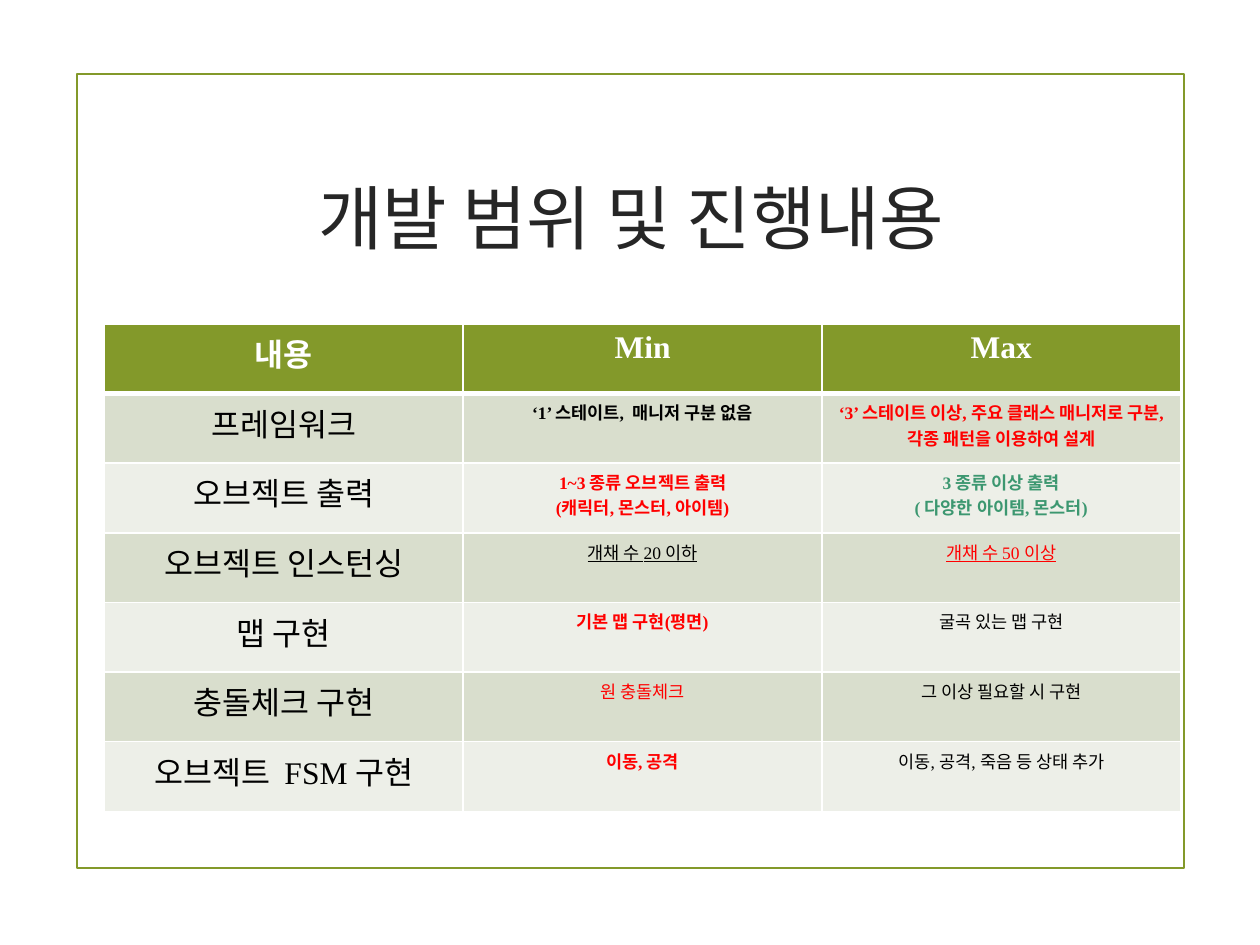
from dataclasses import dataclass

from lxml import etree
from pptx import Presentation
from pptx.dml.color import RGBColor
from pptx.enum.shapes import MSO_SHAPE
from pptx.enum.text import MSO_ANCHOR, MSO_AUTO_SIZE, PP_ALIGN
from pptx.oxml.ns import qn
from pptx.util import Inches, Pt

RECTANGLE = MSO_SHAPE.RECTANGLE
MIDDLE = MSO_ANCHOR.MIDDLE
NO_AUTOFIT = MSO_AUTO_SIZE.NONE
CENTER = PP_ALIGN.CENTER
TITLE_ONLY = 5


@dataclass(frozen=True)
class Theme:
    """Colours, type sizes and font of the slide."""
    font: str = "Times New Roman"
    accent: str = "83992A"
    title: str = "262626"
    text: str = "000000"
    white: str = "FFFFFF"
    done: str = "FF0000"
    partial: str = "3C9770"
    bands: tuple = ("D9DECD", "EDEFE8")
    title_size: int = 40
    label_size: int = 18
    detail_size: int = 10
    frame_width: float = 1.25
    border_width: int = 1
    header_border: int = 3


@dataclass(frozen=True)
class Entry:
    """Text of one table cell with its emphasis."""
    text: str
    color: str = Theme.text
    bold: bool = False
    underline: bool = False
    size: int = Theme.detail_size


HEADERS = ("내용", "Min", "Max")
SCOPE = (
    ("프레임워크",
     Entry("‘1’ 스테이트,  매니저 구분 없음", bold=True),
     Entry("‘3’ 스테이트 이상, 주요 클래스 매니저로 구분, 각종 패턴을 이용하여 설계",
           Theme.done, bold=True)),
    ("오브젝트 출력",
     Entry("1~3 종류 오브젝트 출력\n(캐릭터, 몬스터, 아이템)", Theme.done, bold=True),
     Entry("3 종류 이상 출력\n( 다양한 아이템, 몬스터)", Theme.partial, bold=True)),
    ("오브젝트 인스턴싱",
     Entry("개채 수 20 이하", underline=True),
     Entry("개채 수 50 이상", Theme.done, underline=True)),
    ("맵 구현",
     Entry("기본 맵 구현(평면)", Theme.done, bold=True),
     Entry("굴곡 있는 맵 구현")),
    ("충돌체크 구현",
     Entry("원 충돌체크", Theme.done),
     Entry("그 이상 필요할 시 구현")),
    ("오브젝트  FSM 구현",
     Entry("이동, 공격", Theme.done, bold=True),
     Entry("이동, 공격, 죽음 등 상태 추가")),
)


class SlideBuilder:
    """Draws styled elements on the current slide."""

    def __init__(self, slide, theme):
        self.slide = slide
        self.theme = theme

    def style(self, p, size, color, bold=False, underline=False):
        """Centre a paragraph and set its font."""
        p.alignment = CENTER
        p.font.name = self.theme.font
        p.font.size = Pt(size)
        p.font.color.rgb = RGBColor.from_string(color)
        p.font.bold = bold
        p.font.underline = underline

    def frame(self, left, top, width, height):
        """Add an outlined rectangle."""
        sp = self.slide.shapes.add_shape(
            RECTANGLE, Inches(left), Inches(top), Inches(width), Inches(height))
        sp.shadow.inherit = False
        sp.fill.background()
        sp.line.color.rgb = RGBColor.from_string(self.theme.accent)
        sp.line.width = Pt(self.theme.frame_width)

    def title(self, text, left, top, width, height):
        """Place and fill the title placeholder."""
        sp = self.slide.shapes.title
        sp.left, sp.top = Inches(left), Inches(top)
        sp.width, sp.height = Inches(width), Inches(height)
        tf = sp.text_frame
        tf.text = text
        tf.auto_size = NO_AUTOFIT
        tf.vertical_anchor = MIDDLE
        self.style(tf.paragraphs[0], self.theme.title_size, self.theme.title)

    def border(self, cell, side, width):
        """Draw one white cell border."""
        properties = cell._tc.get_or_add_tcPr()
        ln = etree.SubElement(properties, qn(f"a:ln{side}"), w=str(Pt(width)))
        fill = etree.SubElement(ln, qn("a:solidFill"))
        etree.SubElement(fill, qn("a:srgbClr"), val=self.theme.white)

    def cell(self, cell, entry, fill, top_width, bottom_width):
        """Fill one table cell."""
        thin = self.theme.border_width
        for side, width in zip("LRTB", (thin, thin, top_width, bottom_width)):
            self.border(cell, side, width)
        cell.fill.solid()
        cell.fill.fore_color.rgb = RGBColor.from_string(fill)
        cell.text_frame.text = entry.text
        for p in cell.text_frame.paragraphs:
            self.style(p, entry.size, entry.color, entry.bold, entry.underline)

    def table(self, headers, rows, left, top, width, height):
        """Add a table with a header row and banded body."""
        theme = self.theme
        header = [Entry(text, theme.white, bold=True, size=theme.label_size)
                  for text in headers]
        body = [[Entry(label, size=theme.label_size), *details]
                for label, *details in rows]
        grid = [header, *body]
        table = self.slide.shapes.add_table(
            len(grid), len(headers), Inches(left), Inches(top),
            Inches(width), Inches(height)).table
        table.first_row = True
        table.horz_banding = False
        for i, entries in enumerate(grid):
            table.rows[i].height = Inches(height / len(grid))
            fill = theme.bands[(i - 1) % 2] if i else theme.accent
            top_width = theme.header_border if i == 1 else theme.border_width
            bottom_width = theme.header_border if i == 0 else theme.border_width
            for j, entry in enumerate(entries):
                self.cell(table.cell(i, j), entry, fill, top_width, bottom_width)


def main():
    """Build the development scope slide."""
    prs = Presentation()
    prs.slide_width, prs.slide_height = Inches(10), Inches(7.5)
    s = prs.slides.add_slide(prs.slide_layouts[TITLE_ONLY])
    builder = SlideBuilder(s, Theme())
    builder.frame(0.61, 0.59, 8.79, 6.3)
    builder.title("개발 범위 및 진행내용", 1.29, 1, 7.44, 1.43)
    builder.table(HEADERS, SCOPE, 0.83, 2.57, 8.54, 3.87)
    prs.save("out.pptx")


if __name__ == "__main__":
    main()
